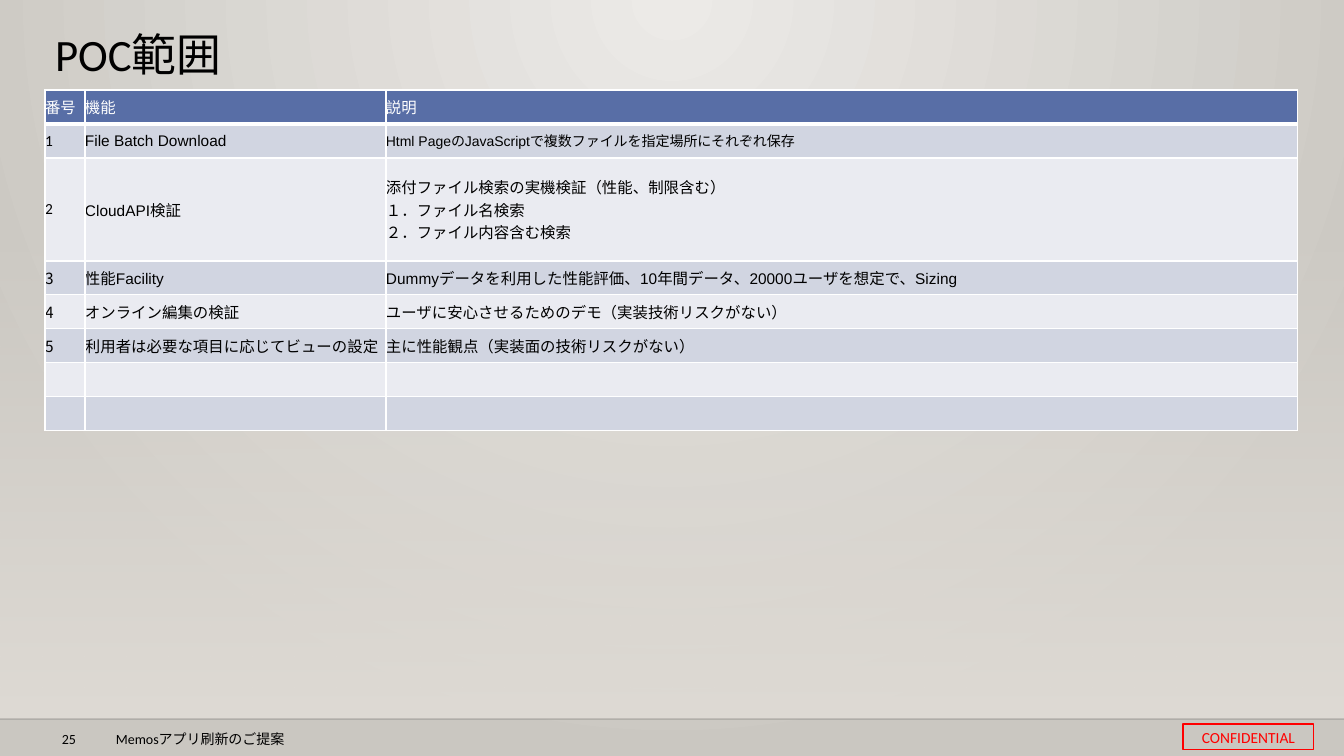
from lxml import etree
from pptx import Presentation
from pptx.dml.color import RGBColor
from pptx.enum.shapes import MSO_CONNECTOR, MSO_SHAPE
from pptx.enum.text import MSO_ANCHOR, MSO_AUTO_SIZE, PP_ALIGN
from pptx.oxml.ns import qn
from pptx.util import Pt

RECTANGLE = MSO_SHAPE.RECTANGLE
STRAIGHT = MSO_CONNECTOR.STRAIGHT
TOP, MIDDLE = MSO_ANCHOR.TOP, MSO_ANCHOR.MIDDLE
LEFT, CENTER = PP_ALIGN.LEFT, PP_ALIGN.CENTER
NO_AUTOFIT = MSO_AUTO_SIZE.NONE

WIDTH, HEIGHT = 1344, 756
EMU_PER_PX = 12192000 / WIDTH
FLOOR_Y = 719

CALIBRI, ARIAL, NOTO = "Calibri", "Arial", "Noto Sans CJK JP"
COLORS = {
    "text": "000000",
    "white": "FFFFFF",
    "header": "586EA6",
    "odd": "D1D5E1",
    "even": "EAEBF1",
    "alert": "FF0000",
    "glow": "ECEAE7",
    "edge": "CAC7C1",
    "haze": "DFDBD5",
    "rule": "000001",
}

COLUMN_WIDTHS = [40, 301, 912]
ROW_HEIGHT, TALL_ROW, TALL_HEIGHT = 34, 2, 103
ROWS = [
    [("番号", CALIBRI, 11), ("機能", CALIBRI, 11), ("説明", CALIBRI, 11)],
    [("1", CALIBRI, 11), ("File Batch Download", ARIAL, 11),
     ("Html PageのJavaScriptで複数ファイルを指定場所にそれぞれ保存", ARIAL, 10)],
    [("2", CALIBRI, 11), ("CloudAPI検証", ARIAL, 11),
     ("添付ファイル検索の実機検証（性能、制限含む）\n１．ファイル名検索\n２．ファイル内容含む検索", ARIAL, 11)],
    [("3", NOTO, 11), ("性能Facility", ARIAL, 11),
     ("Dummyデータを利用した性能評価、10年間データ、20000ユーザを想定で、Sizing", ARIAL, 11)],
    [("4", NOTO, 11), ("オンライン編集の検証", CALIBRI, 11),
     ("ユーザに安心させるためのデモ（実装技術リスクがない）", ARIAL, 11)],
    [("5", NOTO, 11), ("利用者は必要な項目に応じてビューの設定", CALIBRI, 11),
     ("主に性能観点（実装面の技術リスクがない）", ARIAL, 11)],
    [("", CALIBRI, 11)] * 3,
    [("", CALIBRI, 11)] * 3,
]


def px(value):
    return round(value * EMU_PER_PX)


def rgb(name):
    return RGBColor.from_string(COLORS[name])


def write(tf, text, font, size, color, align=LEFT):
    tf.text = text
    for p in tf.paragraphs:
        p.alignment = align
        p.font.name = font
        p.font.size = Pt(size)
        p.font.color.rgb = rgb(color)


def set_alpha(color_element, percent):
    etree.SubElement(color_element, qn("a:alpha"), val=str(percent * 1000))


def fill_gradient(fill, names):
    fill.gradient()
    for stop, name in zip(fill.gradient_stops, names):
        stop.color.rgb = rgb(name)


def paint_background(s):
    fill_gradient(s.background.fill, ["glow", "edge"])
    lin = next(s._element.iter(qn("a:lin")))
    path = etree.Element(qn("a:path"), {"path": "circle"})
    etree.SubElement(path, qn("a:fillToRect"), l="43000", t="0", r="43000", b="100000")
    lin.getparent().replace(lin, path)


def add_haze(s):
    sp = s.shapes.add_shape(RECTANGLE, 0, px(223), px(WIDTH), px(FLOOR_Y - 223))
    sp.shadow.inherit = False
    sp.line.fill.background()
    fill_gradient(sp.fill, ["haze", "haze"])
    sp.fill.gradient_angle = 270
    set_alpha(next(sp._element.iter(qn("a:srgbClr"))), 0)


def add_floor_line(s):
    line = s.shapes.add_connector(STRAIGHT, 0, px(FLOOR_Y), px(WIDTH), px(FLOOR_Y))
    line.line.color.rgb = rgb("rule")
    line.line.width = Pt(1)
    set_alpha(next(line._element.iter(qn("a:srgbClr"))), 20)
    etree.SubElement(line._element.spPr, qn("a:effectLst"))


def add_footer_text(s, x, width, text):
    tf = s.shapes.add_textbox(px(x), px(726), px(width), px(19)).text_frame
    tf.word_wrap = True
    write(tf, text, CALIBRI, 10, "text")


def add_stamp(s, text):
    sp = s.shapes.add_shape(RECTANGLE, px(1183), px(724), px(131), px(26))
    sp.shadow.inherit = False
    sp.fill.background()
    sp.line.color.rgb = rgb("alert")
    sp.line.width = Pt(0.75)
    tf = sp.text_frame
    tf.margin_left = tf.margin_right = tf.margin_top = tf.margin_bottom = px(4)
    tf.vertical_anchor = MIDDLE
    write(tf, text, CALIBRI, 11, "alert", CENTER)


def set_title(s, text):
    sp = s.shapes.title
    sp.left, sp.top, sp.width, sp.height = px(45), px(28), px(1028), px(76)
    tf = sp.text_frame
    tf.auto_size = NO_AUTOFIT
    tf.vertical_anchor = TOP
    write(tf, text, CALIBRI, 32, "text")
    tf.paragraphs[0].line_spacing = 0.9


def add_borders(cell, bottom):
    tcPr = cell._tc.get_or_add_tcPr()
    for side, width in (("L", 1), ("R", 1), ("T", 1), ("B", bottom)):
        ln = etree.SubElement(tcPr, qn("a:ln" + side), w=str(Pt(width)))
        fill = etree.SubElement(ln, qn("a:solidFill"))
        etree.SubElement(fill, qn("a:srgbClr"), val=COLORS["white"])


def format_cell(cell, row, text, font, size):
    header = row == 0
    cell.margin_left = cell.margin_right = cell.margin_top = cell.margin_bottom = 0
    cell.vertical_anchor = MIDDLE
    add_borders(cell, 3 if header else 1)
    cell.fill.solid()
    cell.fill.fore_color.rgb = rgb("header" if header else "odd" if row % 2 else "even")
    write(cell.text_frame, text, font, size, "white" if header else "text")


def add_scope_table(s):
    heights = [TALL_HEIGHT if i == TALL_ROW else ROW_HEIGHT for i in range(len(ROWS))]
    frame = s.shapes.add_table(len(ROWS), len(COLUMN_WIDTHS), px(45), px(90),
                               px(sum(COLUMN_WIDTHS)), px(sum(heights)))
    table = frame.table
    for column, width in zip(table.columns, COLUMN_WIDTHS):
        column.width = px(width)
    for i, (cells, height) in enumerate(zip(ROWS, heights)):
        table.rows[i].height = px(height)
        for j, (text, font, size) in enumerate(cells):
            format_cell(table.cell(i, j), i, text, font, size)


def main():
    prs = Presentation()
    prs.slide_width, prs.slide_height = px(WIDTH), px(HEIGHT)
    s = prs.slides.add_slide(prs.slide_layouts[5])
    paint_background(s)
    add_haze(s)
    add_floor_line(s)
    add_footer_text(s, 52, 40, "25")
    add_footer_text(s, 106, 572, "Memosアプリ刷新のご提案")
    add_stamp(s, "CONFIDENTIAL")
    set_title(s, "POC範囲")
    add_scope_table(s)
    prs.save("out.pptx")


if __name__ == "__main__":
    main()
